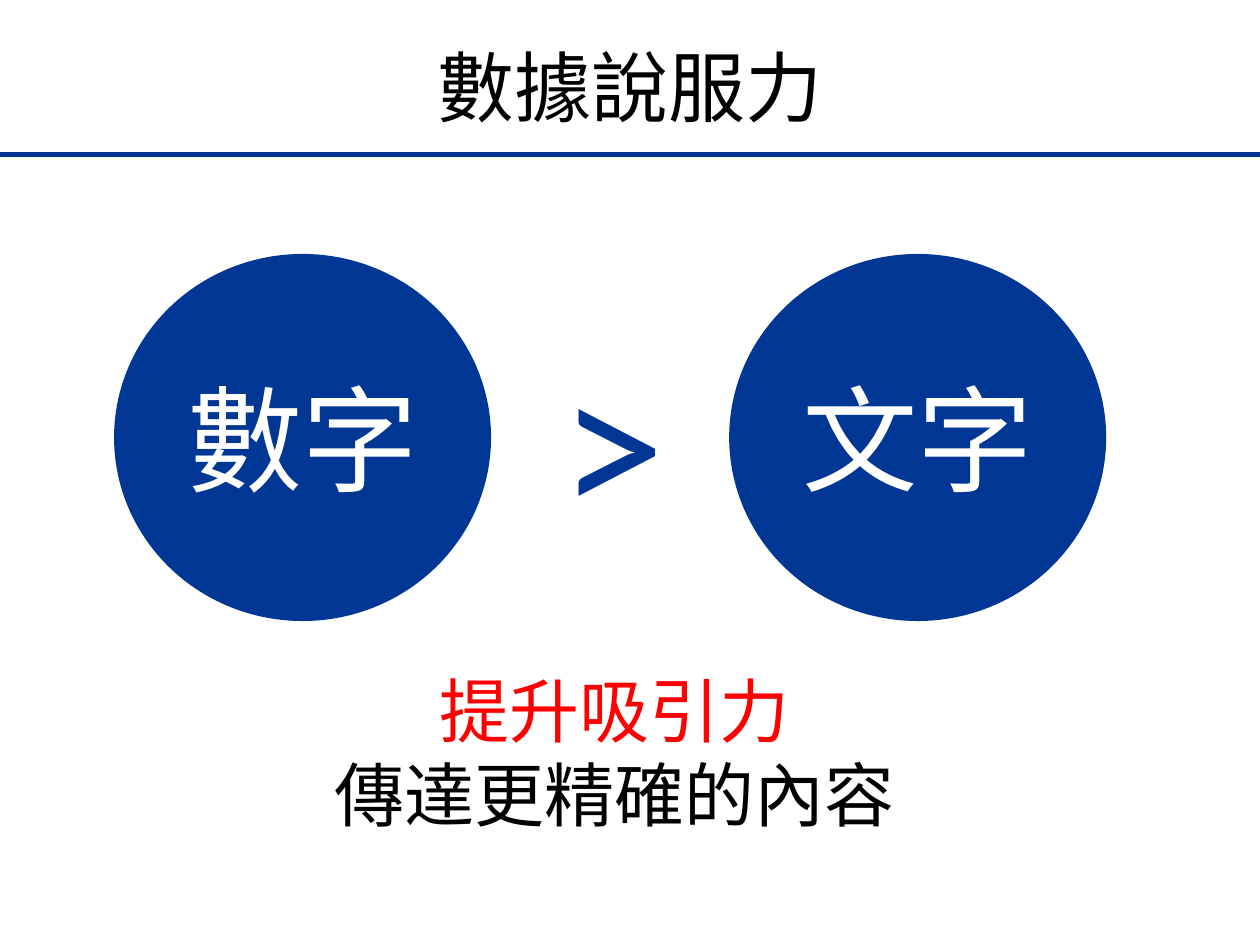
from lxml import etree
from pptx import Presentation
from pptx.dml.color import RGBColor
from pptx.enum.shapes import MSO_CONNECTOR, MSO_SHAPE
from pptx.enum.text import MSO_ANCHOR, MSO_AUTO_SIZE, PP_ALIGN
from pptx.oxml.ns import qn
from pptx.util import Cm, Pt

OVAL = MSO_SHAPE.OVAL
STRAIGHT = MSO_CONNECTOR.STRAIGHT
MIDDLE = MSO_ANCHOR.MIDDLE
GROW = MSO_AUTO_SIZE.SHAPE_TO_FIT_TEXT
NO_FIT = MSO_AUTO_SIZE.NONE
LEFT, CENTER = PP_ALIGN.LEFT, PP_ALIGN.CENTER

BLUE = RGBColor(0x01, 0x37, 0x94)
RED = RGBColor(0xFF, 0x00, 0x00)
BLACK = RGBColor(0x00, 0x00, 0x00)
WHITE = RGBColor(0xFF, 0xFF, 0xFF)

CJK = "Noto Sans CJK SC"
LATIN = "Calibri"
WIDTH, HEIGHT = 25.4, 19.05


class Deck:
    """Holds the house style and the current slide."""

    def __init__(self):
        self.prs = Presentation()
        self.prs.slide_width, self.prs.slide_height = Cm(WIDTH), Cm(HEIGHT)
        self.s = self.prs.slides.add_slide(self.prs.slide_layouts[5])

    def add_text(self, p, text, size, color, font=CJK, align=CENTER):
        p.alignment = align
        r = p.add_run()
        r.text = text
        r.font.size = Pt(size)
        r.font.name = font
        r.font.color.rgb = color
        # East Asian text needs its own typeface entry
        ea = etree.Element(qn("a:ea"), typeface=font)
        r._r.rPr.find(qn("a:latin")).addnext(ea)

    def title(self, text, x, y, w, h):
        sp = self.s.shapes.title
        sp.left, sp.top, sp.width, sp.height = Cm(x), Cm(y), Cm(w), Cm(h)
        tf = sp.text_frame
        tf.vertical_anchor = MIDDLE
        tf.auto_size = NO_FIT
        self.add_text(tf.paragraphs[0], text, 44, BLACK)

    def circle(self, text, x, y, w, h):
        sp = self.s.shapes.add_shape(OVAL, Cm(x), Cm(y), Cm(w), Cm(h))
        sp.shadow.inherit = False
        sp.fill.solid()
        sp.fill.fore_color.rgb = BLUE
        sp.line.fill.background()
        tf = sp.text_frame
        tf.vertical_anchor = MIDDLE
        self.add_text(tf.paragraphs[0], text, 66, WHITE)

    def label(self, lines, x, y, w, h, size, font=CJK, align=CENTER):
        sp = self.s.shapes.add_textbox(Cm(x), Cm(y), Cm(w), Cm(h))
        tf = sp.text_frame
        tf.word_wrap = False
        tf.auto_size = GROW
        for i, (text, color) in enumerate(lines):
            p = tf.add_paragraph() if i else tf.paragraphs[0]
            self.add_text(p, text, size, color, font, align)

    def rule(self, y, width):
        c = self.s.shapes.add_connector(STRAIGHT, 0, Cm(y), Cm(WIDTH), Cm(y))
        c.line.color.rgb = BLUE
        c.line.width = Pt(width)
        etree.SubElement(c._element.spPr, qn("a:effectLst"))


def main():
    deck = Deck()

    # Heading
    deck.title("數據說服力", 1.27, 0.13, 22.86, 3.18)

    # Comparison: two circles with a sign between them
    for i, text in enumerate(["數字", "文字"]):
        deck.circle(text, 2.3 + 12.4 * i, 5.12, 7.6, 7.4)
    deck.label([(">", BLUE)], 11.05, 6.12, 2.64, 5.38, 120, LATIN, LEFT)

    # Conclusion
    deck.label([("提升吸引力", RED), ("傳達更精確的內容", BLACK)],
               6.43, 13.34, 11.91, 3.68, 40)

    # Line under the heading
    deck.rule(3.12, 3)

    deck.prs.save("out.pptx")


if __name__ == "__main__":
    main()
